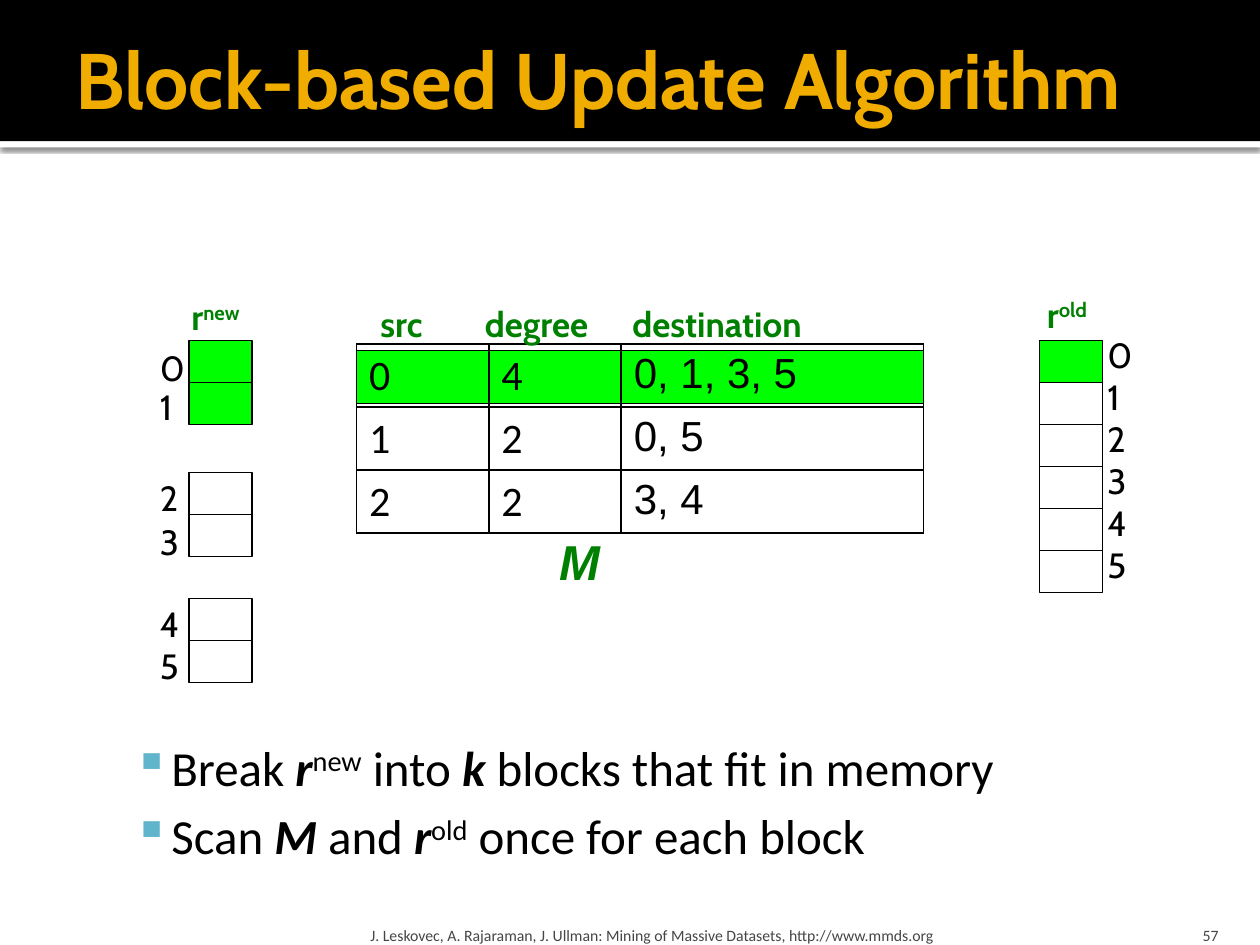
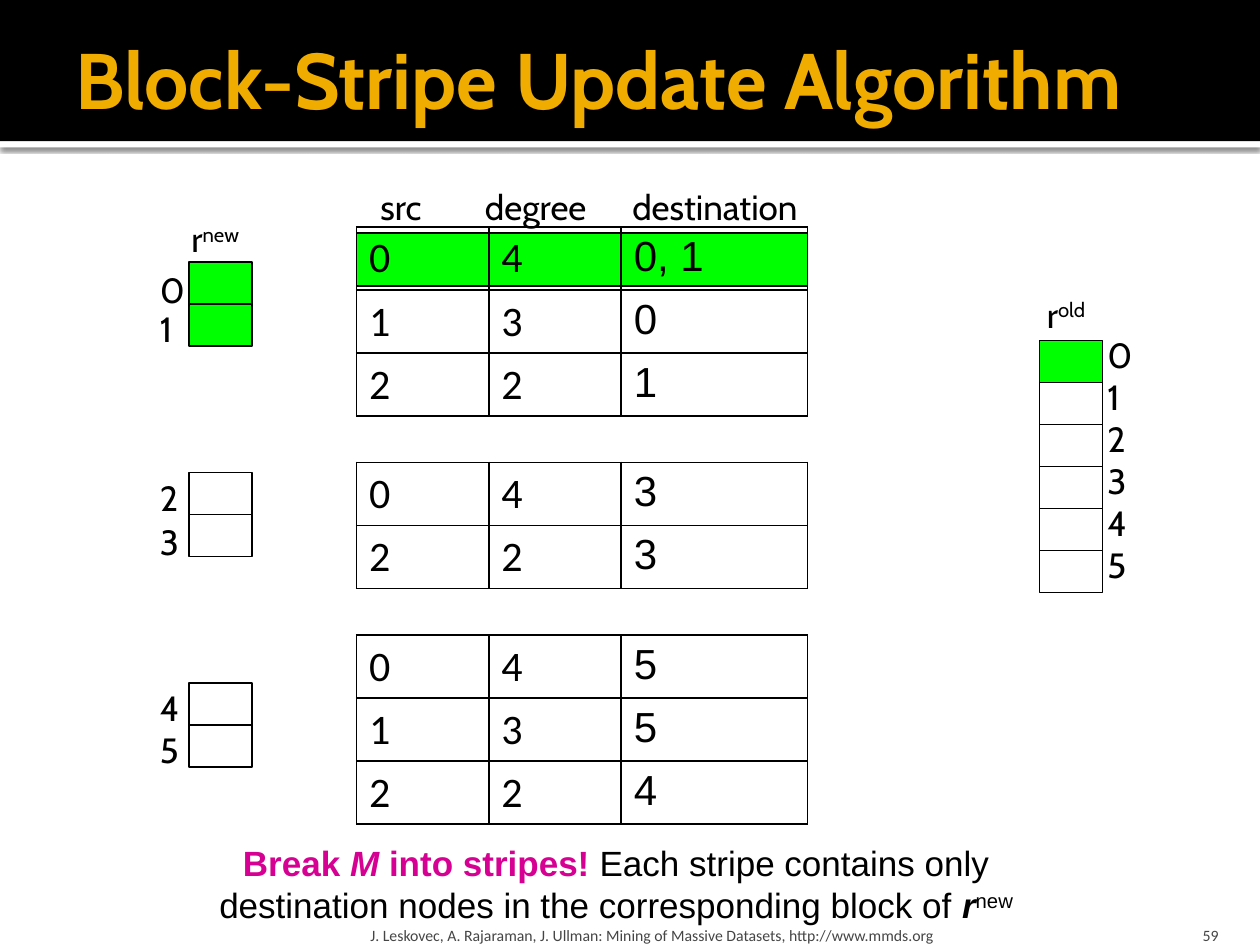
from lxml import etree
from pptx import Presentation
from pptx.dml.color import RGBColor as Rgb
from pptx.enum.shapes import MSO_SHAPE as Shape
from pptx.enum.text import MSO_ANCHOR as Anchor, MSO_AUTO_SIZE as Fit, PP_ALIGN as Align
from pptx.oxml.ns import qn
from pptx.util import Inches, Pt

BLACK = Rgb(0, 0, 0)
WHITE = Rgb(255, 255, 255)
GOLD = Rgb(0xF0, 0xAD, 0x00)
LIME = Rgb(0x00, 0xFF, 0x00)
GREEN = Rgb(0x00, 0x80, 0x00)
PINK = Rgb(0xD6, 0x00, 0x93)
GRAY = Rgb(0x45, 0x45, 0x45)
TEAL = "60B5CC"

CREDIT = "J. Leskovec, A. Rajaraman, J. Ullman: Mining of Massive Datasets, http://www.mmds.org"
HEADS = [("src", 2.92, 0.55), ("degree", 3.75, 1.05), ("destination", 4.92, 1.57)]
NUDGE = [0, -0.02, -0.02, 0, -0.02, -0.02]
CELL_W, CELL_H = 0.5, 1 / 3
NEW_X, OLD_X, OLD_Y = 1.5, 8.25, 2.7
GRID_X, COL_W, ROW_H = 2.83, 1.05, 0.5

SLIDES = [
    dict(
        title="Block-based Update Algorithm", page="57",
        tint=GREEN, bold=True, width=4.5, blocks=[2.7, 3.75, 4.75],
        grids=[(2.73, [("0", "4", "0, 1, 3, 5"), ("1", "2", "0, 5"), ("2", "2", "3, 4")])],
    ),
    dict(
        title="Block-Stripe Update Algorithm", page="59",
        tint=BLACK, bold=False, width=3.58, blocks=[2.08, 3.75, 5.42],
        grids=[
            (1.8, [("0", "4", "0, 1"), ("1", "3", "0"), ("2", "2", "1")]),
            (3.67, [("0", "4", "3"), ("2", "2", "3")]),
            (5.04, [("0", "4", "5"), ("1", "3", "5"), ("2", "2", "4")]),
        ],
    ),
]
BULLETS = [
    [("Break ", ""), ("r", "bi"), ("new", "^"), (" into ", ""), ("k", "bi"),
     (" blocks that fit in memory", "")],
    [("Scan ", ""), ("M", "bi"), (" and ", ""), ("r", "bi"), ("old", "^"),
     (" once for each block", "")],
]
STRIPES = [
    ("Break ", "bp"), ("M", "bip"), (" into stripes! ", "bp"),
    ("Each stripe contains only destination nodes in the corresponding block of ", ""),
    ("r", "bi"), ("new", "^"),
]


def add_xml(node, tag, **attrs):
    return etree.SubElement(node, qn(tag), attrs)


def set_text(para, runs, font, size, color, bold=None, align=None):
    if isinstance(runs, str):
        runs = [(runs, "")]
    if align is not None:
        para.alignment = align
    para.font.name, para.font.size = font, Pt(size)
    para.font.color.rgb = color
    para.font.bold = bold
    for text, style in runs:
        run = para.add_run()
        run.text = text
        if "b" in style:
            run.font.bold = True
        if "i" in style:
            run.font.italic = True
        if "p" in style:
            run.font.color.rgb = PINK
        if "^" in style:
            run.font._element.set("baseline", "30000")


def add_box(slide, x, y, w, h, wrap=True, inset=(0.1, 0.05, 0.1, 0.05), anchor=Anchor.TOP):
    box = slide.shapes.add_textbox(Inches(x), Inches(y), Inches(w), Inches(h))
    frame = box.text_frame
    frame.word_wrap = wrap
    frame.auto_size = Fit.NONE if wrap else Fit.SHAPE_TO_FIT_TEXT
    frame.vertical_anchor = anchor
    (frame.margin_left, frame.margin_top,
     frame.margin_right, frame.margin_bottom) = map(Inches, inset)
    return frame


def add_label(slide, runs, x, y, w, color=BLACK, bold=None, font="Cabin", size=20):
    frame = add_box(slide, x, y, w, 0.43, wrap=False)
    set_text(frame.paragraphs[0], runs, font, size, color, bold)


def add_rect(slide, x, y, w, h, fill=None, line=True):
    rect = slide.shapes.add_shape(Shape.RECTANGLE, Inches(x), Inches(y), Inches(w), Inches(h))
    rect.shadow.inherit = False
    if fill is None:
        rect.fill.background()
    else:
        rect.fill.solid()
        rect.fill.fore_color.rgb = fill
    if line:
        rect.line.color.rgb = BLACK
        rect.line.width = Pt(0.75)
    else:
        rect.line.fill.background()
    return rect


def add_frame(slide, title, page):
    strip = add_rect(slide, 0, 1.12, 10, 0.05, WHITE, line=False)
    glow = add_xml(strip._element.spPr.find(qn("a:effectLst")), "a:outerShdw",
                   blurRad=str(Pt(2.5)), dist=str(Pt(0.8)), dir="5400000",
                   algn="tl", rotWithShape="0")
    tone = add_xml(glow, "a:srgbClr", val="000000")
    add_xml(tone, "a:alpha", val="60000")
    add_rect(slide, 0, 0, 10, 1.12, BLACK, line=False)
    head = add_box(slide, 0.5, 0.08, 9, 1.08, inset=(0.1, 0.05, 0.05, 0.05), anchor=Anchor.MIDDLE)
    set_text(head.paragraphs[0], title, "Cabin", 45, GOLD, True)
    foot = add_box(slide, 2.89, 7.2, 6.02, 0.3, inset=(0.05, 0.05, 0.05, 0), anchor=Anchor.BOTTOM)
    set_text(foot.paragraphs[0], CREDIT, "Calibri", 9, GRAY)
    num = add_box(slide, 8.97, 7.2, 0.8, 0.3, inset=(0.1, 0.05, 0.1, 0), anchor=Anchor.BOTTOM)
    set_text(num.paragraphs[0], page, "Calibri", 9, GRAY, align=Align.RIGHT)


def add_grid(slide, y, rows, width):
    table = slide.shapes.add_table(len(rows), 3, Inches(GRID_X), Inches(y),
                                   Inches(width), Inches(ROW_H * len(rows))).table
    table.first_row = table.horz_banding = False
    for col, w in zip(table.columns, (COL_W, COL_W, width - 2 * COL_W)):
        col.width = Inches(w)
    for r, row in enumerate(rows):
        for c, text in enumerate(row):
            cell = table.cell(r, c)
            props = cell._tc.get_or_add_tcPr()
            for side in "LRTB":
                edge = add_xml(props, f"a:ln{side}", w=str(Pt(1)))
                add_xml(add_xml(edge, "a:solidFill"), "a:srgbClr", val="000000")
            cell.fill.background()
            font = "Arial" if c == 2 else "Calibri"
            set_text(cell.text_frame.paragraphs[0], text, font, 24, BLACK)


def add_ranks(slide, blocks, tint, bold):
    for i, nudge in enumerate(NUDGE):
        block, step = divmod(i, 2)
        y = blocks[block] + step * CELL_H
        add_rect(slide, NEW_X, y, CELL_W, CELL_H, LIME if block == 0 else None)
        add_label(slide, str(i), 1.17, y + nudge, 0.36)
        y = OLD_Y + i * CELL_H
        add_rect(slide, OLD_X, y, CELL_W, CELL_H, LIME if i == 0 else None)
        add_label(slide, str(i), 8.69, y - 0.1, 0.36)
    add_label(slide, [("r", ""), ("new", "^")], 1.42, blocks[0] - 0.4, 0.63, tint, bold)
    add_label(slide, [("r", ""), ("old", "^")], 8.21, OLD_Y - 0.42, 0.54, tint, bold)


def add_bullets(slide):
    frame = add_box(slide, 0.5, 5.75, 9, 1.42, inset=(0.06, 0.1, 0.1, 0.05))
    for i, runs in enumerate(BULLETS):
        para = frame.add_paragraph() if i else frame.paragraphs[0]
        if i:
            para.space_before = Pt(5.6)
        props = para._p.get_or_add_pPr()
        props.set("marL", str(Inches(0.8)))
        props.set("indent", str(Inches(-0.3)))
        add_xml(add_xml(props, "a:buClr"), "a:srgbClr", val=TEAL)
        add_xml(props, "a:buChar", char="▪")
        set_text(para, runs, "Calibri", 28, BLACK)


def main():
    deck = Presentation()
    deck.slide_width, deck.slide_height = Inches(10), Inches(7.5)
    pages = []
    for data in SLIDES:
        slide = deck.slides.add_slide(deck.slide_layouts[6])
        pages.append(slide)
        add_frame(slide, data["title"], data["page"])
        top = data["grids"][0][0]
        add_rect(slide, GRID_X, top + 0.05, data["width"], 0.42, LIME)
        add_ranks(slide, data["blocks"], data["tint"], data["bold"])
        for y, rows in data["grids"]:
            add_grid(slide, y, rows, data["width"])
        for text, x, w in HEADS:
            add_label(slide, text, x, top - 0.38, w, data["tint"], data["bold"])

    first, last = pages
    add_label(first, [("M", "i")], 4.34, 4.17, 0.53, GREEN, True, "Arial", 28)
    add_bullets(first)
    note = add_box(last, 1.25, 6.63, 7.28, 0.77)
    set_text(note.paragraphs[0], STRIPES, "Arial", 20, BLACK, align=Align.CENTER)
    deck.save("out.pptx")


if __name__ == "__main__":
    main()
